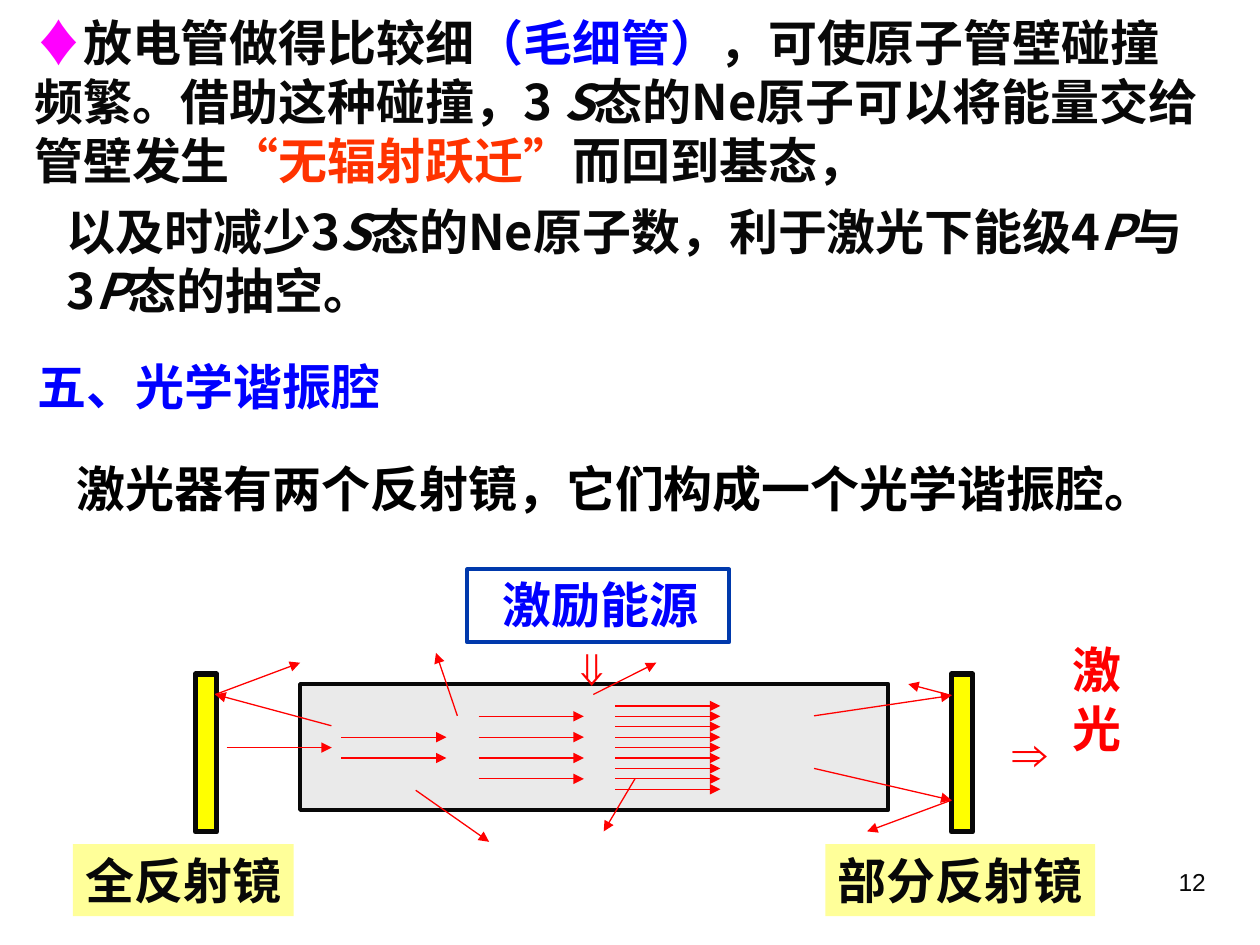
from itertools import pairwise

from lxml.etree import SubElement
from pptx import Presentation
from pptx.dml.color import RGBColor
from pptx.enum.shapes import MSO_CONNECTOR as Connector, MSO_SHAPE as Shape
from pptx.enum.text import MSO_ANCHOR as Anchor, PP_ALIGN as Align
from pptx.oxml.ns import qn
from pptx.util import Cm, Pt

COLORS = {
    "ink": "080808", "black": "000000", "blue": "0000FF", "red": "FF0000",
    "orange": "FF3300", "magenta": "FF00FF", "yellow": "FFFF00",
    "cream": "FFFF99", "gray": "EAEAEA", "navy": "0039AC",
}
CJK = "Noto Sans CJK SC"
SERIF = "Times New Roman"
SANS = "Arial"
ITALIC = {"italic": True}

WALL_TEXT = [
    ("♦", {"color": "magenta", "name": SANS}),
    ("放电管做得比较细", {}),
    ("（毛细管）", {"color": "blue"}),
    ("，可使原子管壁碰撞频繁。借助这种碰撞，3 ", {}),
    ("S", ITALIC),
    ("态的Ne原子可以将能量交给管壁发生", {}),
    ("“无辐射跃迁”", {"color": "orange"}),
    ("而回到基态，", {}),
]
LEVEL_TEXT = [
    ("以及时减少3", {}),
    ("S", ITALIC),
    ("态的Ne原子数，利于激光下能级4", {}),
    ("P", ITALIC),
    ("与3", {}),
    ("P", ITALIC),
    ("态的抽空。", {}),
]

AXIS_Y, ROW_GAP, BEAM_LENGTH = 15.07, 0.21, 2.12
BEAMS = [
    (4.57, [0]),
    (6.88, [-1, 1]),
    (9.65, [-3, -1, 1, 3]),
    (12.4, range(-4, 5)),
]
STRAY_RAYS = [
    [(6.68, 14.63), (4.34, 14), (6.05, 13.36)],
    [(9.22, 14.43), (8.79, 13.16)],
    [(8.38, 15.93), (9.86, 16.97)],
    [(11.96, 14), (13.23, 13.36)],
    [(12.8, 15.7), (12.17, 16.76)],
    [(16.41, 14.43), (19.18, 14.02), (18.31, 13.79)],
    [(16.41, 15.49), (19.18, 16.13), (17.48, 16.76)],
]


def rgb(color):
    """Return the named palette colour."""
    return RGBColor.from_string(COLORS[color])


def write(box, spans, color="ink", name=SERIF, size=28, bold=True,
          align=Align.LEFT, anchor=Anchor.TOP, wrap=False):
    """Fill a box with one paragraph of styled spans."""
    frame = box.text_frame
    frame.word_wrap = wrap
    frame.vertical_anchor = anchor
    para = frame.paragraphs[0]
    para.alignment = align
    font = para.font
    font.size, font.bold, font.name = Pt(size), bold, name
    font.color.rgb = rgb(color)
    SubElement(font._element, qn("a:ea"), typeface=CJK)
    for text, style in spans:
        span = para.add_run()
        span.text = text
        if "color" in style:
            span.font.color.rgb = rgb(style["color"])
        if "name" in style:
            span.font.name = style["name"]
        if "italic" in style:
            span.font.italic = style["italic"]


def add_text(page, area, spans, **style):
    """Add a text box at an area given in centimetres."""
    box = page.shapes.add_textbox(*map(Cm, area))
    write(box, spans, **style)
    return box


def add_label(page, area, text, color, name=SERIF):
    """Add a centred label of the diagram."""
    add_text(page, area, [(text, {})], color=color, name=name,
             align=Align.CENTER, anchor=Anchor.MIDDLE)


def add_block(page, area, fill=None, line=None, width=0):
    """Add a rectangle with an optional fill and outline."""
    block = page.shapes.add_shape(Shape.RECTANGLE, *map(Cm, area))
    block.shadow.inherit = False
    if fill:
        block.fill.solid()
        block.fill.fore_color.rgb = rgb(fill)
    else:
        block.fill.background()
    if line:
        block.line.color.rgb = rgb(line)
        block.line.width = Pt(width)
    else:
        block.line.fill.background()
    return block


def add_ray(page, start, end):
    """Add a thin red arrow between two points."""
    ray = page.shapes.add_connector(Connector.STRAIGHT, *map(Cm, (*start, *end)))
    ray.line.color.rgb = rgb("red")
    ray.line.width = Pt(0.75)
    SubElement(ray.line._get_or_add_ln(), qn("a:tailEnd"), type="triangle")
    SubElement(ray._element.spPr, qn("a:effectLst"))


def add_explanation(page):
    """Add the body text, the heading and the page number."""
    add_text(page, (18.21, 17.35, 6.35, 1.32), [("12", {})], name=SANS,
             size=14, bold=False, align=Align.RIGHT)
    wall = add_text(page, (0.69, 0.13, 23.55, 3.81), WALL_TEXT, name=CJK, wrap=True)
    wall.text_frame.margin_left = wall.text_frame.margin_right = 0
    add_text(page, (1.09, 3.94, 23.39, 2.64), LEVEL_TEXT, name=CJK, wrap=True)
    add_text(page, (0.51, 7.06, 7.42, 1.45), [("五、光学谐振腔", {})], color="blue")
    add_text(page, (1.3, 9.12, 23.01, 1.45),
             [("激光器有两个反射镜，它们构成一个光学谐振腔。", {})],
             color="black", wrap=True)


def add_resonator(page):
    """Add the mirrors, the tube, the rays and their labels."""
    for left in (3.94, 19.18):
        add_block(page, (left, 13.59, 0.43, 3.18), "yellow", "ink", 3)
    add_block(page, (6.05, 13.79, 11.86, 2.54), "gray", "ink", 2.25)
    for left, rows in BEAMS:
        for row in rows:
            y = AXIS_Y + row * ROW_GAP
            add_ray(page, (left, y), (left + BEAM_LENGTH, y))
    for points in STRAY_RAYS:
        for start, end in pairwise(points):
            add_ray(page, start, end)
    add_block(page, (9.42, 11.48, 5.28, 1.47), line="navy", width=2.25)
    add_label(page, (9.88, 11.46, 4.45, 1.45), "激励能源", "blue")
    add_label(page, (11.33, 12.73, 1.09, 1.45), "⇓", "red", SANS)
    for left, width, text in ((1.47, 4.45, "全反射镜"), (16.64, 5.44, "部分反射镜")):
        plate = add_block(page, (left, 17.02, width, 1.45), "cream")
        write(plate, [(text, {})], align=Align.CENTER, anchor=Anchor.MIDDLE)
    add_label(page, (20.12, 14.43, 1.3, 1.45), "⇒", "red", SANS)
    add_label(page, (20.88, 13.36, 2.46, 1.45), "激光", "red")


def main():
    """Build the slide and save the deck."""
    deck = Presentation()
    deck.slide_width, deck.slide_height = Cm(25.4), Cm(19.05)
    page = deck.slides.add_slide(deck.slide_layouts[6])
    add_explanation(page)
    add_resonator(page)
    deck.save("out.pptx")


if __name__ == "__main__":
    main()
